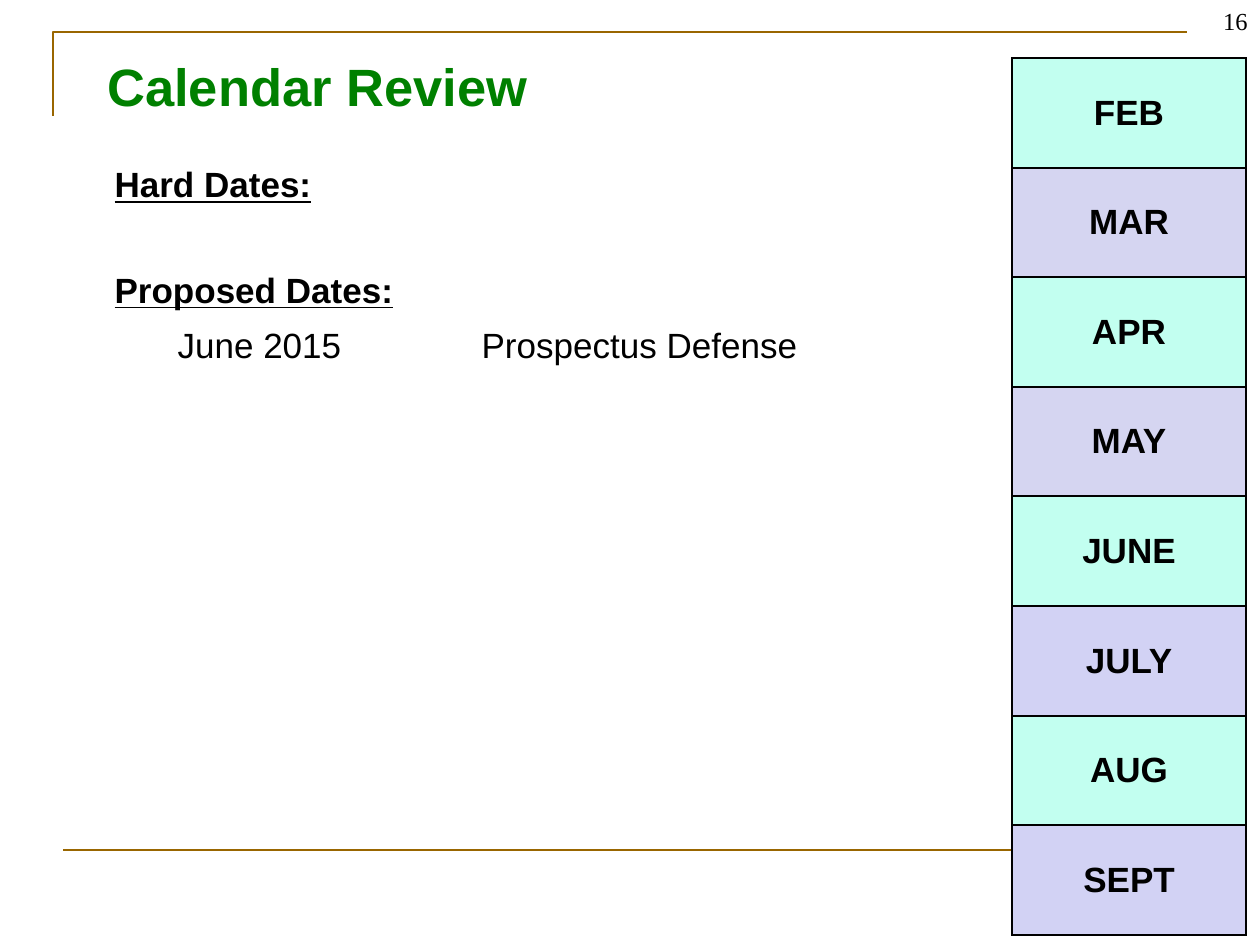
from lxml.etree import SubElement
from pptx import Presentation
from pptx.dml.color import RGBColor
from pptx.enum.shapes import MSO_CONNECTOR
from pptx.enum.text import MSO_ANCHOR, PP_ALIGN
from pptx.oxml import parse_xml
from pptx.oxml.ns import nsdecls, qn
from pptx.util import Emu, Pt

PX_PER_INCH = 126
BLACK = RGBColor(0x00, 0x00, 0x00)
GREEN = RGBColor(0x00, 0x80, 0x00)
BROWN = RGBColor(0x99, 0x66, 0x00)
MINT = RGBColor(0xC2, 0xFF, 0xF0)
INDIGO = RGBColor(0x2D, 0x2D, 0xB9)
LAVENDER = RGBColor(0xD2, 0xD2, 0xF4)

MONTHS = [
    ("FEB", MINT, 100), ("MAR", INDIGO, 20), ("APR", MINT, 100), ("MAY", INDIGO, 20),
    ("JUNE", MINT, 100), ("JULY", LAVENDER, 100), ("AUG", MINT, 100), ("SEPT", LAVENDER, 100),
]
DATES = [
    ("Hard Dates:", ""),
    ("", ""),
    ("Proposed Dates:", ""),
    ("June 2015", "Prospectus Defense"),
    ("", ""),
]


def px(length):
    return Emu(round(length * 914400 / PX_PER_INCH))


def write(frame, text, size, color=BLACK, bold=False, font="Arial", align=PP_ALIGN.LEFT):
    frame.text = text
    paragraph = frame.paragraphs[0]
    paragraph.alignment = align
    for run in paragraph.runs:
        run.font.size = Pt(size)
        run.font.name = font
        run.font.bold = bold
        run.font.color.rgb = color
    return paragraph


def add_label(slide, left, top, width, height, anchor, *args, **style):
    frame = slide.shapes.add_textbox(px(left), px(top), px(width), px(height)).text_frame
    frame.word_wrap = True
    frame.vertical_anchor = anchor
    write(frame, *args, **style)


def add_grid(slide, left, top, widths, heights):
    grid = slide.shapes.add_table(
        len(heights), len(widths), px(left), px(top), px(sum(widths)), px(sum(heights))
    ).table
    grid.first_row = False
    grid.horz_banding = False
    for column, width in zip(grid.columns, widths):
        column.width = px(width)
    for row, height in zip(grid.rows, heights):
        row.height = px(height)
    return grid


def add_frame(slide, left, top, width, height):
    builder = slide.shapes.build_freeform(px(left), px(top + 84))
    builder.add_line_segments([(px(left), px(top)), (px(left + width), px(top))], close=False)
    corner = builder.convert_to_shape()
    corner.shadow.inherit = False
    corner.fill.background()
    bottom = px(top + height)
    footer = slide.shapes.add_connector(
        MSO_CONNECTOR.STRAIGHT, px(left + 10), bottom, px(left + 10 + width), bottom
    )
    SubElement(footer._element.spPr, qn("a:effectLst"))
    for rule in (corner, footer):
        rule.line.color.rgb = BROWN
        rule.line.width = Pt(1.5)


def add_dates(slide, left, top, width, height):
    date_width = 367
    row_height = height // len(DATES)
    dates = add_grid(slide, left, top, [date_width, width - date_width], [row_height] * len(DATES))
    for row, entries in zip(dates.rows, DATES):
        for cell, entry in zip(row.cells, entries):
            cell.fill.background()
            heading = entry.endswith(":")
            paragraph = write(cell.text_frame, entry, 20, bold=heading)
            for run in paragraph.runs:
                run.font.underline = heading
    indented = dates.cell(3, 0).text_frame.paragraphs[0]
    indented.level = 1
    properties = indented._p.get_or_add_pPr()
    properties.set("marL", str(px(63)))
    properties.set("indent", "0")


def add_borders(cell):
    properties = cell._tc.get_or_add_tcPr()
    for index, side in enumerate(("lnL", "lnR", "lnT", "lnB")):
        properties.insert(index, parse_xml(
            f'<a:{side} {nsdecls("a")} w="{Pt(1)}"><a:solidFill>'
            f'<a:srgbClr val="{BLACK}"/></a:solidFill></a:{side}>'
        ))


def add_months(slide, left, top, width, height):
    edges = [round(i * height / len(MONTHS)) for i in range(len(MONTHS) + 1)]
    heights = [end - start for start, end in zip(edges, edges[1:])]
    months = add_grid(slide, left, top, [width], heights)
    for row, (month, color, opacity) in zip(months.rows, MONTHS):
        cell = row.cells[0]
        cell.vertical_anchor = MSO_ANCHOR.MIDDLE
        cell.fill.solid()
        cell.fill.fore_color.rgb = color
        if opacity < 100:
            tint = cell._tc.tcPr.find(".//" + qn("a:srgbClr"))
            SubElement(tint, qn("a:alpha"), val=str(opacity * 1000))
        add_borders(cell)
        write(cell.text_frame, month, 20, bold=True, align=PP_ALIGN.CENTER)


def main():
    deck = Presentation()
    deck.slide_width, deck.slide_height = px(1260), px(945)
    slide = deck.slides.add_slide(deck.slide_layouts[6])
    add_frame(slide, 53, 32, 1134, 818)
    add_label(slide, 95, 32, 1071, 107, MSO_ANCHOR.MIDDLE, "Calendar Review", 30, GREEN, bold=True)
    add_label(slide, 998, 0, 262, 29, MSO_ANCHOR.TOP, "16", 14,
              font="Times New Roman", align=PP_ALIGN.RIGHT)
    add_dates(slide, 102, 160, 848, 256)
    add_months(slide, 1012, 58, 234, 877)
    deck.save("out.pptx")


if __name__ == "__main__":
    main()
